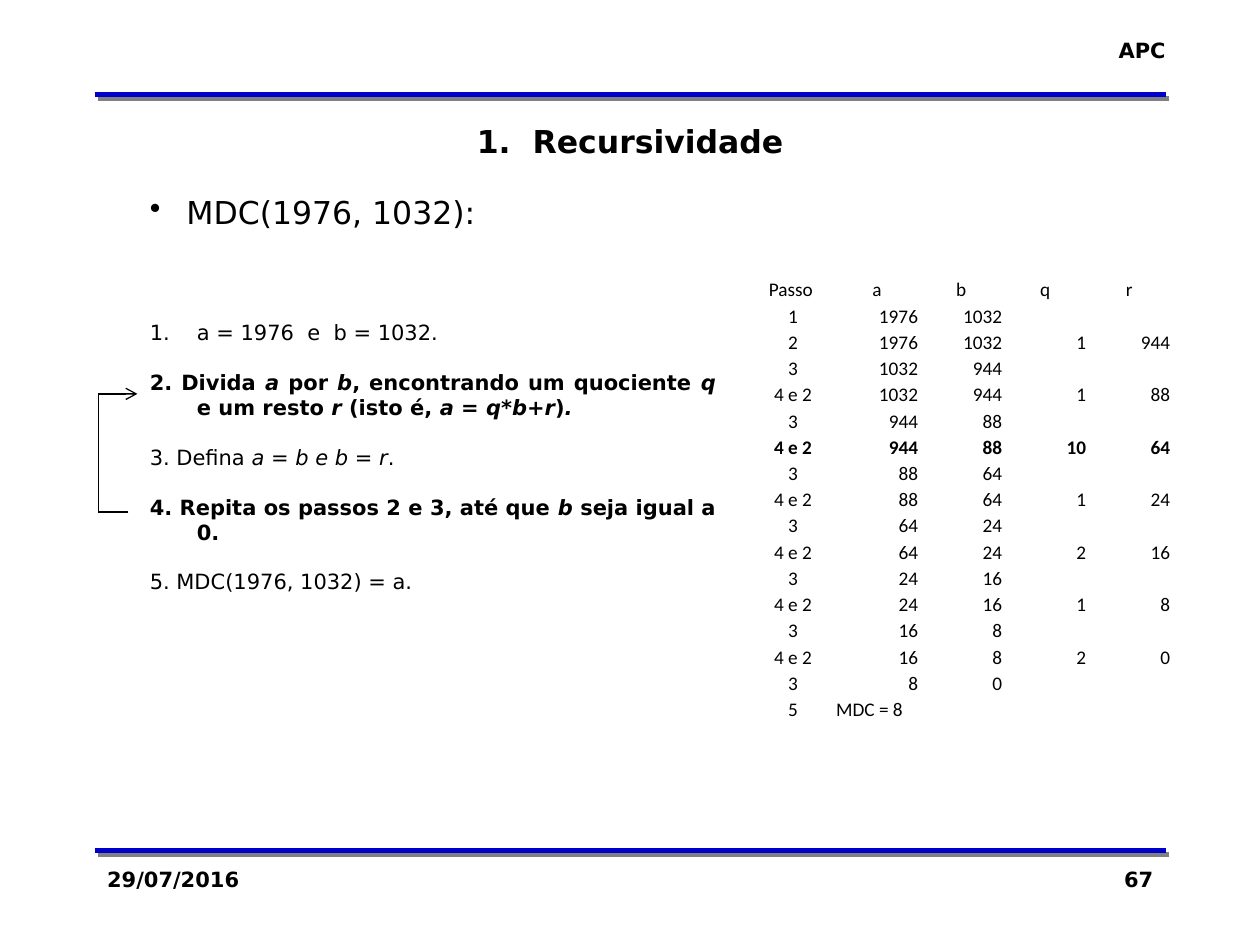
from lxml import etree
from pptx import Presentation
from pptx.dml.color import RGBColor
from pptx.enum.shapes import MSO_CONNECTOR
from pptx.enum.text import MSO_ANCHOR, PP_ALIGN
from pptx.oxml.ns import qn
from pptx.util import Cm, Pt

LEFT, CENTER, RIGHT, JUSTIFY = PP_ALIGN.LEFT, PP_ALIGN.CENTER, PP_ALIGN.RIGHT, PP_ALIGN.JUSTIFY
BOTTOM = MSO_ANCHOR.BOTTOM
STRAIGHT = MSO_CONNECTOR.STRAIGHT

COLORS = {"text": "000000", "rule": "0000CC", "shadow": "808080"}
BODY_FONT, TABLE_FONT = "DejaVu Sans", "Calibri"

# Each step is a list of (text, bold, italic) runs
STEPS = [
    [("a = 1976  e  b = 1032.", False, False)],
    [("2. Divida ", True, False), ("a", True, True), (" por ", True, False),
     ("b", True, True), (", encontrando um quociente ", True, False),
     ("q", True, True), (" e um resto ", True, False), ("r", True, True),
     (" (isto é, ", True, False), ("a = q*b+r", True, True),
     (")", True, False), (".", True, True)],
    [("3. Defina ", False, False), ("a = b e b = r", False, True), (".", False, False)],
    [("4. Repita os passos 2 e 3, até que ", True, False), ("b", True, True),
     (" seja igual a 0.", True, False)],
    [("5. MDC(1976, 1032) = a.", False, False)],
]


def write(paragraph, text, size=12, font=BODY_FONT, bold=False, italic=False, align=LEFT):
    paragraph.alignment = align
    run = paragraph.add_run()
    run.text = text
    run.font.size = Pt(size)
    run.font.name = font
    run.font.bold = bold
    run.font.italic = italic
    run.font.color.rgb = RGBColor.from_string(COLORS["text"])


def add_frame(slide, left, top, width, height, wrap=True):
    frame = slide.shapes.add_textbox(Cm(left), Cm(top), Cm(width), Cm(height)).text_frame
    frame.word_wrap = wrap
    return frame


def set_hanging(paragraph, indent, bullet=None, **attributes):
    properties = paragraph._p.get_or_add_pPr()
    properties.set("marL", str(Cm(indent)))
    properties.set("indent", str(-Cm(indent)))
    if bullet:
        etree.SubElement(properties, qn(f"a:{bullet}"), **attributes)


def add_line(slide, start, end, color, width):
    points = [Cm(value) for value in (*start, *end)]
    line = slide.shapes.add_connector(STRAIGHT, *points)
    line.line.color.rgb = RGBColor.from_string(COLORS[color])
    line.line.width = Pt(width)
    effects = etree.SubElement(line._element.spPr, qn("a:effectLst"))
    return line, effects


def add_rule(slide, left, top, width):
    _, effects = add_line(slide, (left, top), (left + width, top), "rule", 3)
    shadow = etree.SubElement(effects, qn("a:outerShdw"), dist=str(Pt(2.8)),
                              dir="2700000", algn="ctr", rotWithShape="0")
    etree.SubElement(shadow, qn("a:srgbClr"), val=COLORS["shadow"])


def add_header(slide, left, top, width):
    frame = add_frame(slide, left + width - 1.22, top, 1.47, 0.76, wrap=False)
    write(frame.paragraphs[0], "APC", bold=True, align=RIGHT)
    add_rule(slide, left, top + 1.27, width)


def add_footer(slide, left, top, width):
    add_rule(slide, left, top, width)
    box_width = 5.28
    for text, x, align in (("29/07/2016", left, LEFT),
                           ("67", left + width - box_width, RIGHT)):
        frame = add_frame(slide, x, top + 0.2, box_width, 1.27)
        write(frame.paragraphs[0], text, bold=True, align=align)


def add_title(slide, left, top, width):
    frame = add_frame(slide, left, top, width, 1.02)
    write(frame.paragraphs[0], "1.  Recursividade", size=18, bold=True, align=CENTER)


def add_steps(slide, left, top, width, height):
    frame = add_frame(slide, left, top, width, height)
    heading = frame.paragraphs[0]
    set_hanging(heading, 0.74, "buChar", char="•")
    write(heading, "MDC(1976, 1032):", size=18, align=JUSTIFY)
    for index, runs in enumerate(STEPS):
        paragraph = frame.add_paragraph()
        paragraph.space_before = Pt(14 if index else 51)
        # Only the first step is numbered automatically
        if index:
            set_hanging(paragraph, 0.95)
        else:
            set_hanging(paragraph, 0.95, "buAutoNum", type="arabicPeriod")
        for text, bold, italic in runs:
            write(paragraph, text, bold=bold, italic=italic, align=JUSTIFY)


def add_loop_arrow(slide, left, top, width, height):
    bottom = top + height
    corners = [(left + width - 0.18, bottom), (left, bottom), (left, top), (left + width, top)]
    for start, end in zip(corners, corners[1:]):
        line, _ = add_line(slide, start, end, "text", 0.75)
    etree.SubElement(line.line._get_or_add_ln(), qn("a:tailEnd"), type="arrow")


def trace_rows(a, b):
    """Rows of Euclid's algorithm, from the header to the result."""
    rows = [("Passo ", "a", "b", "q", "r"), ("1", a, b)]
    step = "2"
    while b:
        quotient, remainder = divmod(a, b)
        rows.append((step, a, b, quotient, remainder))
        a, b = b, remainder
        rows.append(("3", a, b))
        step = "4 e 2"
    return rows + [("5", f"MDC = {a}"), ()]


def add_trace_table(slide, left, top, width, height):
    rows = trace_rows(1976, 1032)
    columns = len(rows[0])
    table = slide.shapes.add_table(len(rows), columns, Cm(left), Cm(top),
                                   Cm(width), Cm(height)).table
    table.first_row = table.horz_banding = False
    for row_index, values in enumerate(rows):
        highlighted = 10 in values[3:4]
        for column in range(columns):
            cell = table.cell(row_index, column)
            cell.fill.background()
            cell.vertical_anchor = BOTTOM
            cell.margin_left = cell.margin_right = cell.margin_top = Cm(0.02)
            cell.margin_bottom = 0
            paragraph = cell.text_frame.paragraphs[0]
            if column >= len(values):
                # Keeps the empty cells as low as the filled ones
                etree.SubElement(paragraph._p, qn("a:endParaRPr"), sz="1100")
                continue
            value = values[column]
            if row_index == 0 or column == 0:
                align = CENTER
            else:
                align = RIGHT if isinstance(value, int) else LEFT
            write(paragraph, str(value), size=11, font=TABLE_FONT,
                  bold=highlighted, align=align)


def main():
    presentation = Presentation()
    presentation.slide_width, presentation.slide_height = Cm(25.4), Cm(19.05)
    slide = presentation.slides.add_slide(presentation.slide_layouts[6])
    left, width = 1.91, 21.59
    add_header(slide, left, 0.64, width)
    add_footer(slide, left, 17.15, width)
    add_title(slide, left, 2.34, width)
    add_steps(slide, 2.77, 3.76, 11.91, 9.32)
    add_trace_table(slide, 15.14, 5.56, 8.47, 9.53)
    add_loop_arrow(slide, 1.98, 7.94, 0.79, 2.38)
    presentation.save("out.pptx")


if __name__ == "__main__":
    main()
